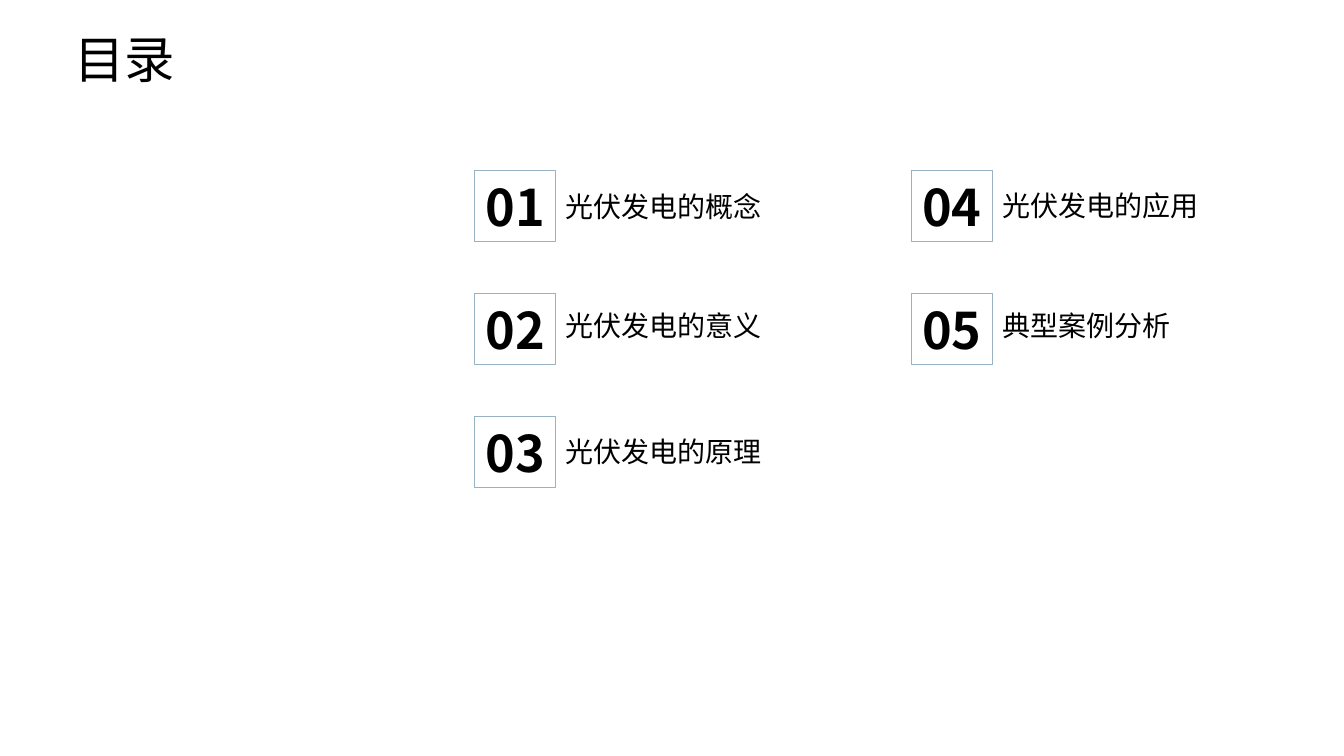
from lxml.etree import SubElement
from pptx import Presentation
from pptx.dml.color import RGBColor
from pptx.enum.shapes import MSO_SHAPE
from pptx.enum.text import MSO_ANCHOR, PP_ALIGN
from pptx.oxml.ns import qn
from pptx.util import Pt


def color(code):
    return RGBColor.from_string(code)


def write(shape, text, align, wrap, face, style):
    frame = shape.text_frame
    frame.word_wrap = wrap
    frame.vertical_anchor = MSO_ANCHOR.MIDDLE
    para = frame.paragraphs[0]
    para.alignment = align
    run = para.add_run()
    run.text = text
    for key, value in style.items():
        setattr(run.font, key, value)
    run.font.color.rgb = color("000000")
    # Chinese glyphs take their own typeface
    SubElement(run.font._element, qn("a:ea")).set("typeface", face)


deck = Presentation()
deck.slide_width, deck.slide_height = Pt(960), Pt(540)
slide = deck.slides.add_slide(deck.slide_layouts[6])
shapes = slide.shapes

# Formats
sans = "Noto Sans CJK SC"
head = {"name": "Calibri", "size": Pt(36)}
digit = {"name": sans, "size": Pt(36), "bold": True}
label = {"name": sans, "size": Pt(20)}

# Title
title = shapes.add_textbox(Pt(46), Pt(16.5), Pt(142), Pt(51))
write(title, "目录", PP_ALIGN.JUSTIFY, True, sans, head)

# Topics run down the left column, then the right: text, label top
topics = [
    ("光伏发电的概念", 131.8),
    ("光伏发电的意义", 216.7),
    ("光伏发电的原理", 306.7),
    ("光伏发电的应用", 131),
    ("典型案例分析", 216.7),
]
wide, high = 58, 51
for num, (text, top) in enumerate(topics):
    col, row = divmod(num, 3)
    left = 339 + col * 312

    # Number box
    box = shapes.add_shape(MSO_SHAPE.RECTANGLE, Pt(left),
                           Pt(121.7 + row * 87.8), Pt(wide), Pt(high))
    box.shadow.inherit = False
    box.fill.background()
    box.line.color.rgb = color("97B2C3")
    box.line.width = Pt(0.75)
    write(box, f"{num + 1:02}", PP_ALIGN.CENTER, False, sans, digit)

    # Topic name
    name = shapes.add_textbox(Pt(left + wide), Pt(top), Pt(216), Pt(31.5))
    write(name, text, PP_ALIGN.LEFT, True, sans, label)

deck.save("out.pptx")
